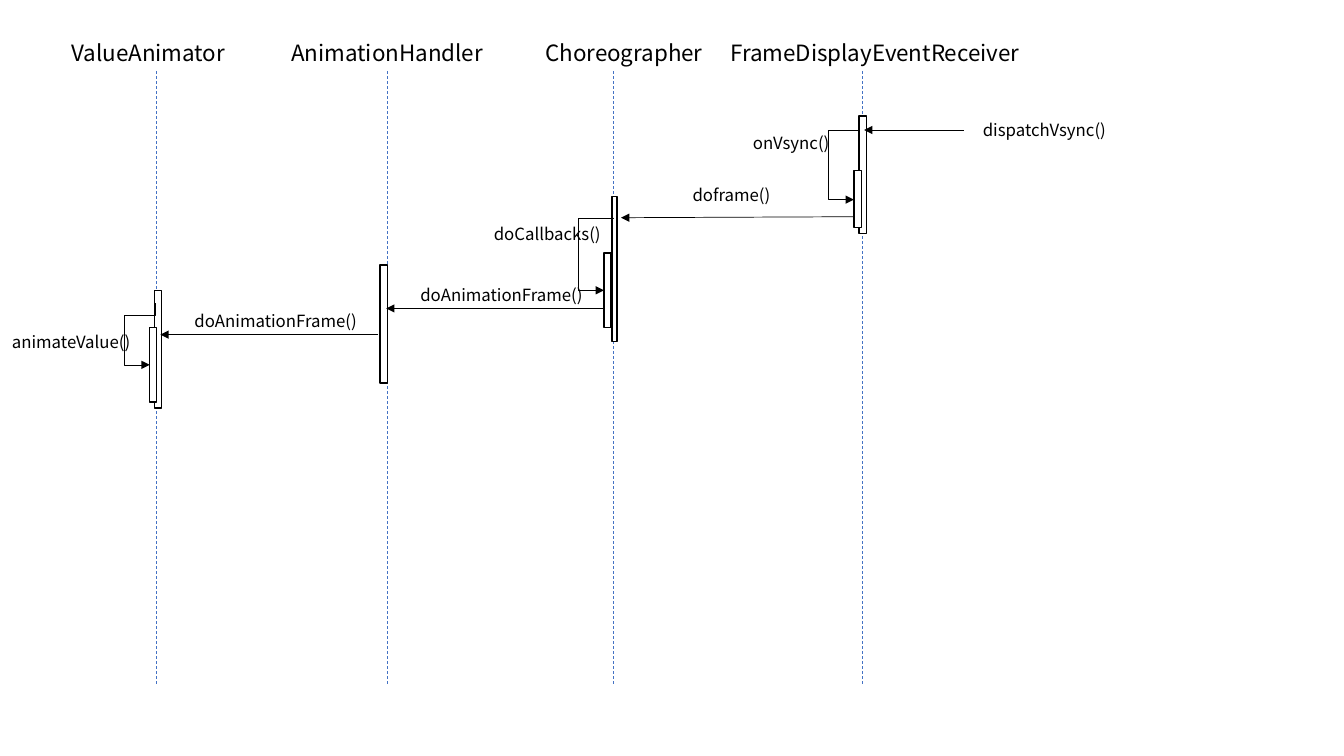
"""Build a sequence diagram of the calls behind one animation frame."""
from lxml.etree import SubElement
from pptx import Presentation
from pptx.dml.color import RGBColor
from pptx.enum.dml import MSO_LINE
from pptx.enum.shapes import MSO_CONNECTOR as Connector, MSO_SHAPE as Preset
from pptx.enum.text import MSO_AUTO_SIZE as AutoSize
from pptx.oxml.ns import qn
from pptx.util import Inches, Pt

COLORS = {"ink": "000000", "lifeline": "4472C4", "paper": "FFFFFF"}
FONT = "Noto Sans CJK SC"
COLUMNS, ROWS = 133.3, 75
CELL = Inches(0.1)
BAR_WIDTH = 0.72

PARTICIPANTS = [
    ("ValueAnimator", 6.1, 18.9, 15.5),
    ("AnimationHandler", 27.9, 23.8, 38.4),
    ("Choreographer", 53.1, 18.9, 60.8),
    ("FrameDisplayEventReceiver", 71.45, 31, 85.5),
]
ACTIVATIONS = [
    (37.7, 26.3, BAR_WIDTH, 11.7),
    (85.2, 11.5, BAR_WIDTH, 11.7),
    (59.9, 25.1, BAR_WIDTH, 7.4),
    (60.7, 19.5, 0.5, 14.4),
    (84.7, 16.9, BAR_WIDTH, 5.7),
    (15.3, 28.8, BAR_WIDTH, 11.7),
    (14.8, 32.5, BAR_WIDTH, 7.4),
]
MESSAGES = [
    ("dispatchVsync()", 96.5, 11.4, 17.6, (95.6, 12.9), (85.7, 12.9)),
    ("doframe()", 67.7, 17.8, 18.2, (84.7, 21.5), (61.6, 21.6)),
    ("doAnimationFrame()", 40.7, 27.8, 18.9, (59.9, 30.6), (38.3, 30.6)),
    ("doAnimationFrame()", 18.3, 30.3, 18.9, (37.5, 33.2), (15.9, 33.2)),
]
SELF_CALLS = [
    ("onVsync()", 73.7, 12.7, 19, (85.1, 12.9), (84.7, 19.8), (82.2, 12.95)),
    ("doCallbacks()", 48, 21.7, 16.6, (60.8, 21.6), (59.9, 28.8), (57.4, 21.66)),
    ("animateValue()", 0.2, 32.4, 16.6, (15.4, 30.1), (14.85, 36.2), (12.3, 31.3)),
]


def cells(*counts):
    """Turn counts of grid cells into lengths."""
    return [round(count * CELL) for count in counts]


def color(name):
    """Look up a colour by its role."""
    return RGBColor.from_string(COLORS[name])


def add_label(slide, text, left, top, width, size):
    """Add one line of left-aligned text."""
    height = 3.7 if size > 12 else 3
    frame = slide.shapes.add_textbox(*cells(left, top, width, height)).text_frame
    frame.word_wrap = True
    frame.auto_size = AutoSize.SHAPE_TO_FIT_TEXT
    frame.text = text
    font = frame.paragraphs[0].runs[0].font
    font.name, font.size = FONT, Pt(size)
    font.color.rgb = color("ink")
    properties = font._element
    SubElement(properties, qn("a:ea")).set("typeface", FONT)


def add_line(slide, start, end, role="ink", kind=Connector.STRAIGHT):
    """Add a thin connector without shadow."""
    line = slide.shapes.add_connector(kind, *cells(*start, *end))
    line.line.color.rgb = color(role)
    line.line.width = Pt(0.5)
    SubElement(line.element.spPr, qn("a:effectLst"))
    return line


def add_arrowhead(connector):
    """Put a triangle at the end of a connector."""
    outline = connector.line._get_or_add_ln()
    SubElement(outline, qn("a:tailEnd")).set("type", "triangle")


def add_lifeline(slide, column):
    """Add the dashed lifeline of a participant."""
    lifeline = add_line(slide, (column, 7.05), (column, 68), "lifeline")
    lifeline.line.dash_style = MSO_LINE.DASH


def add_activation(slide, left, top, width, height):
    """Add a white activation bar."""
    bar = slide.shapes.add_shape(Preset.RECTANGLE, *cells(left, top, width, height))
    bar.shadow.inherit = False
    bar.fill.solid()
    bar.fill.fore_color.rgb = color("paper")
    bar.line.color.rgb = color("ink")
    bar.line.width = Pt(1)


def add_self_call(slide, start, end, elbow):
    """Add an elbow arrow that loops left, as a quarter-turned connector."""
    length, depth = end[1] - start[1], start[0] - end[0]
    middle_x, middle_y = (start[0] + end[0]) / 2, (start[1] + end[1]) / 2
    corner = (middle_x - length / 2, middle_y - depth / 2)
    opposite = (middle_x + length / 2, middle_y + depth / 2)
    loop = add_line(slide, corner, opposite, kind=Connector.ELBOW)
    properties = loop.element.spPr
    properties.find(qn("a:xfrm")).set("rot", "5400000")
    geometry = properties.find(qn("a:prstGeom"))
    geometry.set("prst", "bentConnector4")
    shares = ((elbow[1] - start[1]) / length, (start[0] - elbow[0]) / depth)
    for number, share in enumerate(shares, 1):
        guide = SubElement(geometry.find(qn("a:avLst")), qn("a:gd"))
        guide.set("name", f"adj{number}")
        guide.set("fmla", f"val {round(share * 100000)}")
    add_arrowhead(loop)


def main():
    """Draw participants, activations and calls, then save."""
    presentation = Presentation()
    presentation.slide_width, presentation.slide_height = cells(COLUMNS, ROWS)
    slide = presentation.slides.add_slide(presentation.slide_layouts[6])
    for name, left, width, column in PARTICIPANTS:
        add_label(slide, name, left, 3.4, width, 16)
        add_lifeline(slide, column)
    for activation in ACTIVATIONS:
        add_activation(slide, *activation)
    for name, left, top, width, start, end in MESSAGES:
        add_label(slide, name, left, top, width, 12)
        add_arrowhead(add_line(slide, start, end))
    for name, left, top, width, start, end, elbow in SELF_CALLS:
        add_label(slide, name, left, top, width, 12)
        add_self_call(slide, start, end, elbow)
    presentation.save("out.pptx")


main()
